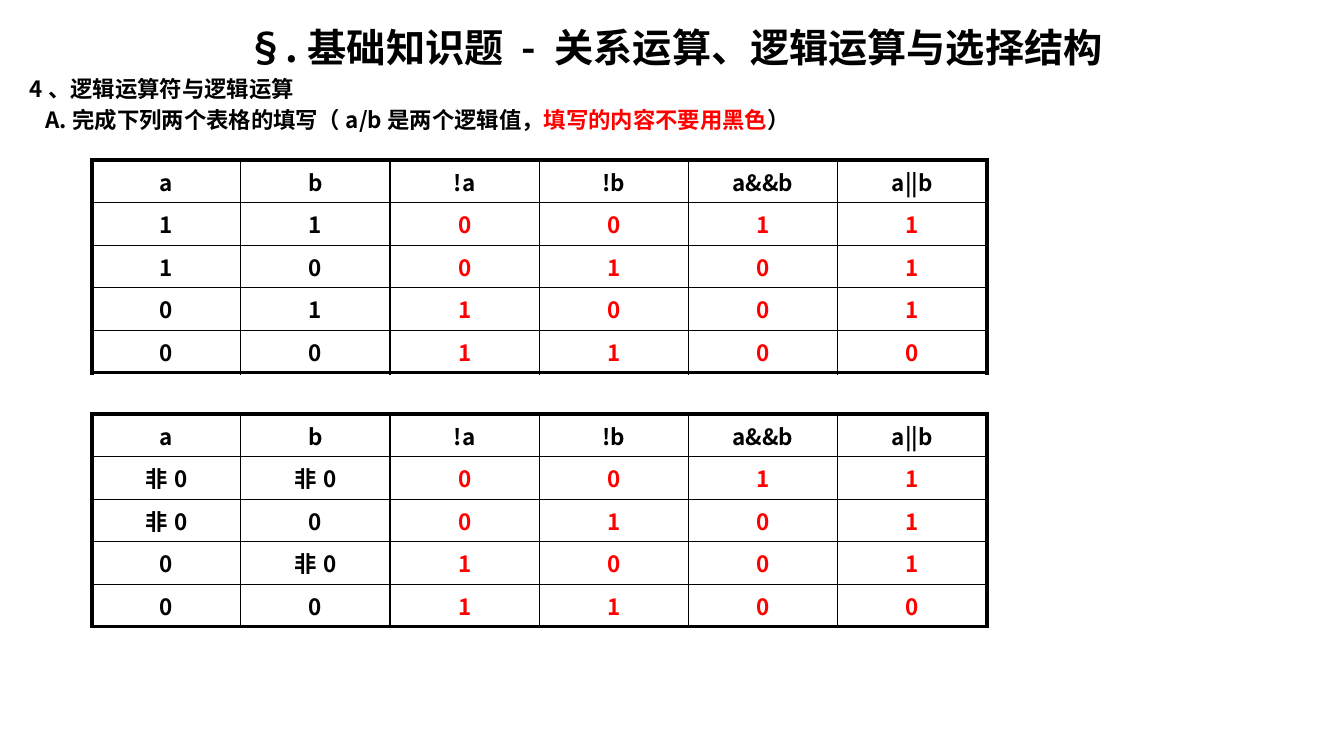
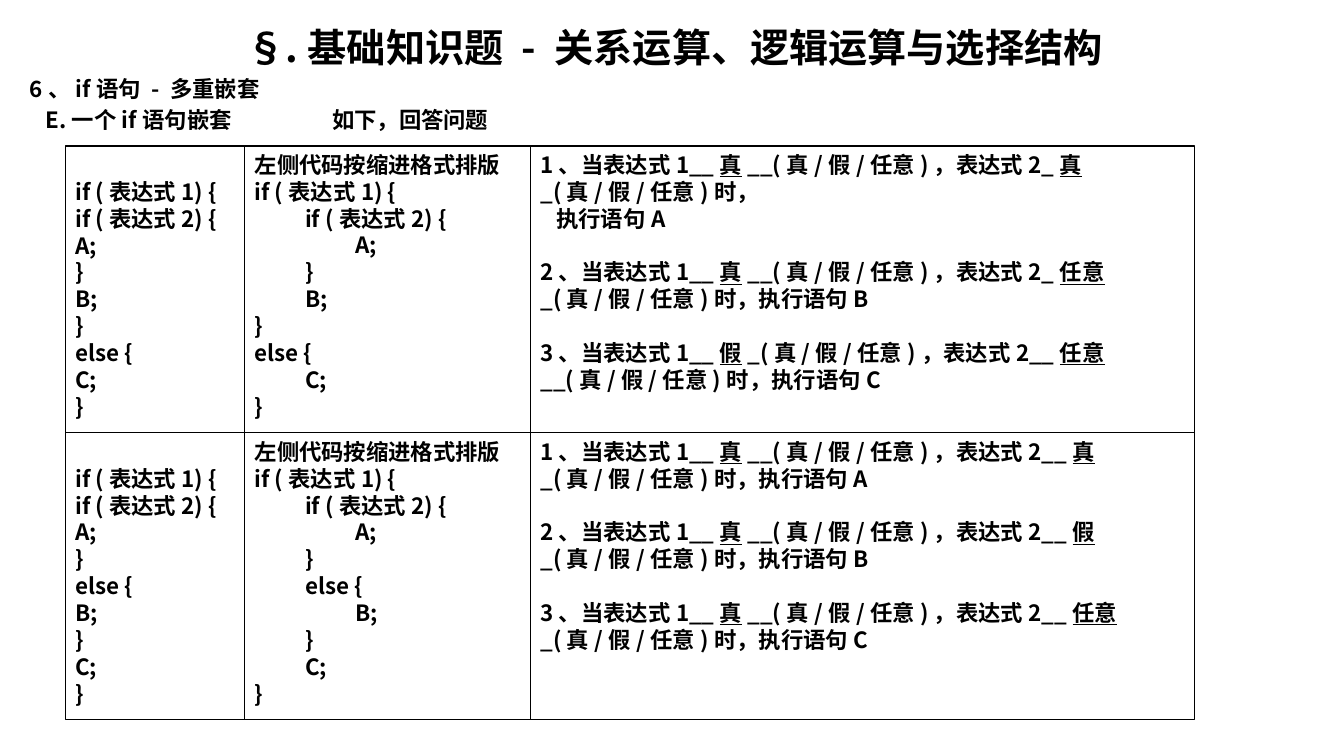
from lxml.etree import SubElement
from pptx import Presentation
from pptx.dml.color import RGBColor
from pptx.enum.shapes import MSO_SHAPE
from pptx.enum.text import MSO_ANCHOR, PP_ALIGN
from pptx.oxml.ns import qn
from pptx.util import Cm, Pt

BLACK = RGBColor(0, 0, 0)
RED = RGBColor(255, 0, 0)
WHITE = RGBColor(255, 255, 255)
FONT = "Noto Sans CJK SC"
BODY_SIZE, TITLE_SIZE = 16, 28
BLANK_LINE = Pt(19.2)
SMALL_INDENT = Cm(0.4)
CODE_INDENT = Cm(1.27)

# Asterisks enclose the emphasised part of a line.
TITLE = "§.基础知识题 - 关系运算、逻辑运算与选择结构"
LOGIC_HEADING = ("4、逻辑运算符与逻辑运算",
                 "A.完成下列两个表格的填写（a/b是两个逻辑值，*填写的内容不要用黑色*）")
NESTING_HEADING = ("6、if语句 - 多重嵌套", "E.一个if语句嵌套\t\t如下，回答问题")

HEADER = ("a", "b", "!a", "!b", "a&&b", "a||b")
RESULTS = (("0", "0", "1", "1"), ("0", "1", "0", "1"),
           ("1", "0", "0", "1"), ("1", "1", "0", "0"))
TRUTH_TABLES = [  # top, symbol for a true operand
    (Cm(4.04), "1"),
    (Cm(10.44), "非0"),
]
TABLE_LEFT, COLUMN_WIDTH, ROW_HEIGHT = Cm(2.31), Cm(3.76), Cm(1.07)
GIVEN_COLUMNS = 2

FORMAT_NOTE = "左侧代码按缩进格式排版"
EXERCISES = [
    {"code": ["if (表达式1) {", "if (表达式2) {", "A;", "}", "B;", "}",
              "else {", "C;", "}"],
     "questions": [
         ["1、当表达式1__*真*__(真/假/任意)，表达式2_*真*_(真/假/任意)时，", "执行语句A"],
         ["2、当表达式1__*真*__(真/假/任意)，表达式2_*任意*_(真/假/任意)时，执行语句B"],
         ["3、当表达式1__*假*_(真/假/任意)，表达式2__*任意*__(真/假/任意)时，执行语句C"]]},
    {"code": ["if (表达式1) {", "if (表达式2) {", "A;", "}", "else {", "B;",
              "}", "C;", "}"],
     "questions": [
         ["1、当表达式1__*真*__(真/假/任意)，表达式2__*真*_(真/假/任意)时，执行语句A"],
         ["2、当表达式1__*真*__(真/假/任意)，表达式2__*假*_(真/假/任意)时，执行语句B"],
         ["3、当表达式1__*真*__(真/假/任意)，表达式2__*任意*_(真/假/任意)时，执行语句C"]]},
]
EXERCISE_LEFT, EXERCISE_TOP, EXERCISE_HEIGHT = Cm(1.65), Cm(3.68), Cm(7.23)
EXERCISE_WIDTHS = (Cm(4.52), Cm(7.2), Cm(16.73))


def style_run(run, size=BODY_SIZE, color=BLACK):
    run.font.size = Pt(size)
    run.font.bold = True
    run.font.name = FONT
    run.font.color.rgb = color
    SubElement(run.font._element, qn("a:ea"), typeface=FONT)


def write_line(paragraph, text, size=BODY_SIZE, indent=0, space_before=0,
               emphasis_color=None):
    """Emphasised parts take the given colour, or an underline without one."""
    paragraph.space_before = space_before
    properties = paragraph._p.get_or_add_pPr()
    properties.set("marL", "0")
    properties.set("indent", str(int(indent)))
    for index, part in enumerate(text.split("*")):
        run = paragraph.add_run()
        run.text = part
        emphasised = index % 2 == 1
        style_run(run, size, emphasis_color if emphasised and emphasis_color else BLACK)
        if emphasised and not emphasis_color:
            run.font.underline = True


def write_lines(text_frame, lines):
    """Each line is a text with a dict of write_line options."""
    for index, (text, options) in enumerate(lines):
        paragraph = text_frame.paragraphs[0] if index == 0 else text_frame.add_paragraph()
        write_line(paragraph, text, **options)


def add_heading_slide(presentation, heading):
    slide = presentation.slides.add_slide(presentation.slide_layouts[6])
    text_frame = slide.shapes.add_textbox(Cm(0.5), Cm(0.46), Cm(33), Cm(3.2)).text_frame
    text_frame.word_wrap = True
    section, task = heading
    gap = Pt(BODY_SIZE * 0.2)
    write_lines(text_frame, [
        (TITLE, {"size": TITLE_SIZE}),
        (section, {"space_before": gap}),
        (task, {"space_before": gap, "indent": SMALL_INDENT, "emphasis_color": RED}),
    ])
    text_frame.paragraphs[0].alignment = PP_ALIGN.CENTER
    return slide


def set_cell_borders(cell, outer_sides):
    properties = cell._tc.get_or_add_tcPr()
    for index, (side, outer) in enumerate(outer_sides.items()):
        line = properties.makeelement(qn(f"a:ln{side}"), w=str(int(Pt(3 if outer else 1))))
        fill = SubElement(line, qn("a:solidFill"))
        SubElement(fill, qn("a:srgbClr"), val=str(BLACK))
        properties.insert(index, line)


def add_truth_table(slide, top, true_symbol):
    operands = [(a, b) for a in (true_symbol, "0") for b in (true_symbol, "0")]
    rows = [HEADER] + [given + result for given, result in zip(operands, RESULTS)]
    last_row, last_column = len(rows) - 1, len(HEADER) - 1
    table = slide.shapes.add_table(len(rows), len(HEADER), TABLE_LEFT, top,
                                   COLUMN_WIDTH * len(HEADER),
                                   ROW_HEIGHT * len(rows)).table
    for column in table.columns:
        column.width = COLUMN_WIDTH
    for row_index, row in enumerate(rows):
        table.rows[row_index].height = ROW_HEIGHT
        for column_index, text in enumerate(row):
            cell = table.cell(row_index, column_index)
            cell.text_frame.text = text
            paragraph = cell.text_frame.paragraphs[0]
            paragraph.alignment = PP_ALIGN.CENTER
            answered = row_index > 0 and column_index >= GIVEN_COLUMNS
            style_run(paragraph.runs[0], color=RED if answered else BLACK)
            cell.fill.solid()
            cell.fill.fore_color.rgb = WHITE
            set_cell_borders(cell, {"L": column_index == 0,
                                    "R": column_index == last_column,
                                    "T": row_index == 0,
                                    "B": row_index == last_row})


def indent_code(code):
    """Indent each line by the number of braces open around it."""
    lines, depth = [], 0
    for text in code:
        depth -= text.startswith("}")
        lines.append((text, {"indent": CODE_INDENT * depth}))
        depth += text.endswith("{")
    return lines


def space_questions(questions):
    lines = []
    for index, (question, *continuation) in enumerate(questions):
        lines.append((question, {"space_before": BLANK_LINE if index else 0}))
        lines += [(text, {"indent": SMALL_INDENT}) for text in continuation]
    return lines


def add_panel(slide, left, top, width, lines, top_gap=0):
    panel = slide.shapes.add_shape(MSO_SHAPE.RECTANGLE, left, top, width, EXERCISE_HEIGHT)
    panel.shadow.inherit = False
    panel.fill.background()
    panel.line.color.rgb = BLACK
    panel.line.width = Pt(0.75)
    text_frame = panel.text_frame
    text_frame.word_wrap = True
    text_frame.vertical_anchor = MSO_ANCHOR.TOP
    text_frame.margin_top += top_gap
    write_lines(text_frame, lines)
    for paragraph in text_frame.paragraphs:
        paragraph.alignment = PP_ALIGN.LEFT


def add_exercise(slide, top, exercise):
    code = exercise["code"]
    panels = [
        ([(text, {}) for text in code], BLANK_LINE),
        ([(FORMAT_NOTE, {})] + indent_code(code), 0),
        (space_questions(exercise["questions"]), 0),
    ]
    left = EXERCISE_LEFT
    for width, (lines, top_gap) in zip(EXERCISE_WIDTHS, panels):
        add_panel(slide, left, top, width, lines, top_gap)
        left += width


def main():
    presentation = Presentation()
    presentation.slide_width, presentation.slide_height = Cm(33.87), Cm(19.05)

    logic_slide = add_heading_slide(presentation, LOGIC_HEADING)
    for top, true_symbol in TRUTH_TABLES:
        add_truth_table(logic_slide, top, true_symbol)

    nesting_slide = add_heading_slide(presentation, NESTING_HEADING)
    for index, exercise in enumerate(EXERCISES):
        add_exercise(nesting_slide, EXERCISE_TOP + EXERCISE_HEIGHT * index, exercise)

    presentation.save("out.pptx")


if __name__ == "__main__":
    main()
